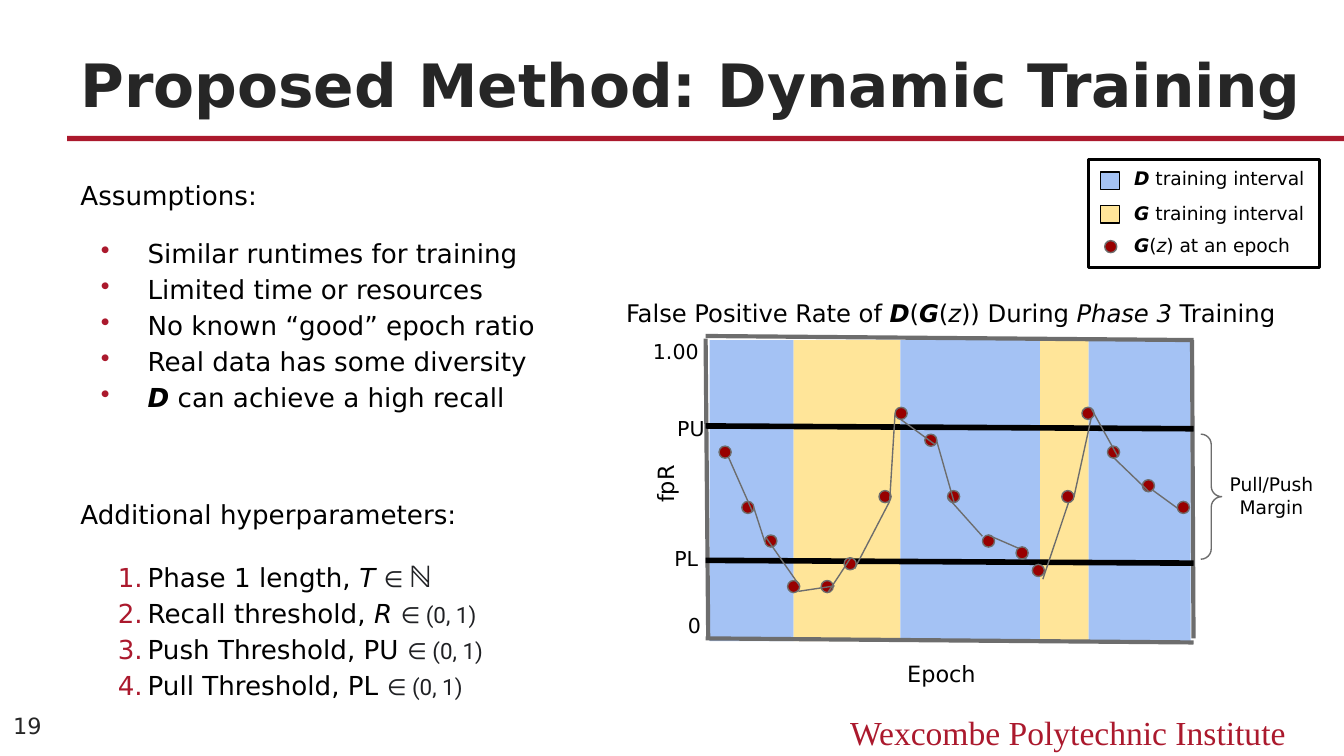
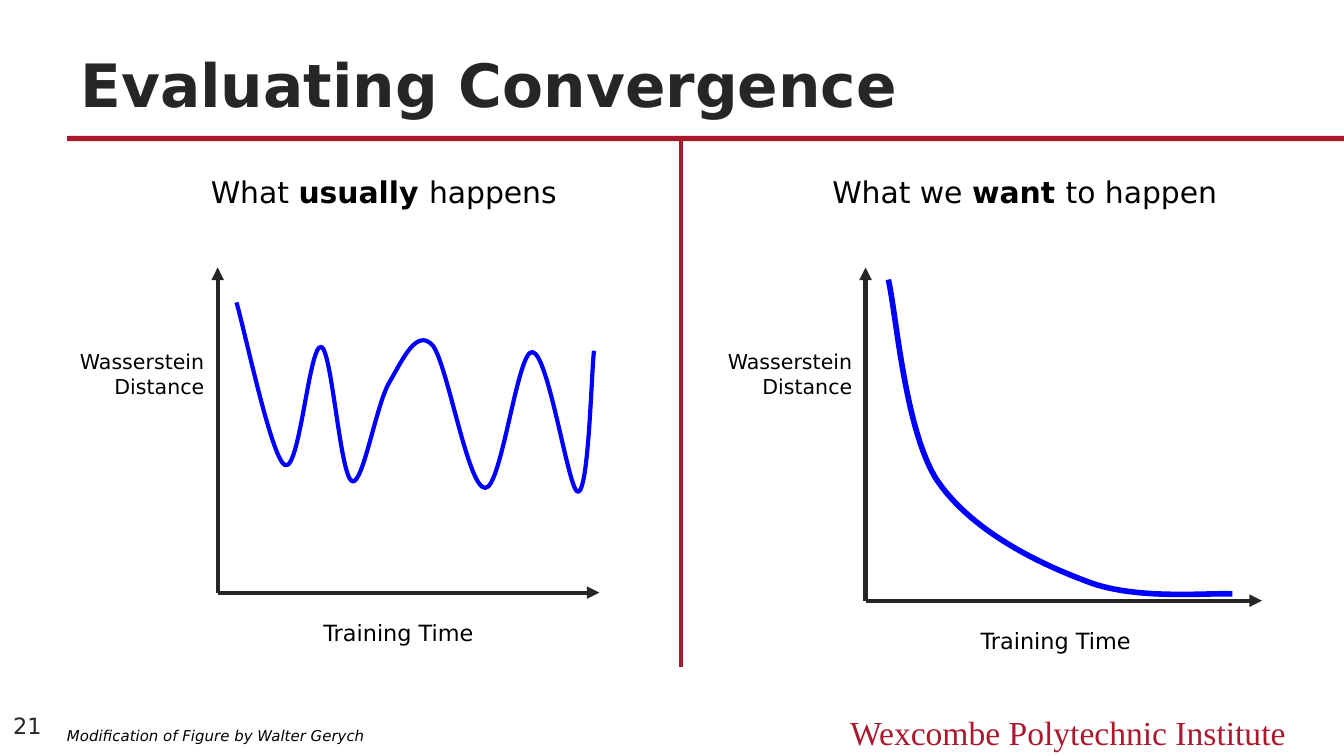
import dataclasses
import itertools

import lxml.etree
import pptx
import pptx.dml.color
import pptx.enum.shapes
import pptx.enum.text
import pptx.oxml.ns
import pptx.util

Pt = pptx.util.Pt
qn = pptx.oxml.ns.qn
SHAPES = pptx.enum.shapes.MSO_SHAPE
ALIGN = pptx.enum.text.PP_ALIGN
ANCHOR = pptx.enum.text.MSO_ANCHOR


@dataclasses.dataclass(frozen=True)
class Theme:
    crimson: str = "AB192D"
    ink: str = "262626"
    math_ink: str = "202124"
    black: str = "000000"
    gray: str = "6D6D6D"
    d_blue: str = "A4C2F4"
    g_yellow: str = "FFE599"
    dot_red: str = "980000"
    curve_blue: str = "0000FF"
    font: str = "DejaVu Sans"
    math_font: str = "Roboto"
    footer_font: str = "Times New Roman"
    title: float = 32
    footer: float = 18
    heading: float = 16
    body: float = 14
    caption: float = 13
    label: float = 12
    tick: float = 11
    legend: float = 10
    credit: float = 8


THEME = Theme()

# Run styles, named in the content below
STYLES = {
    "": {},
    "b": {"bold": True},
    "i": {"italic": True},
    "bi": {"bold": True, "italic": True},
    "math": {"name": THEME.math_font, "size": Pt(12), "color": THEME.math_ink},
    "set": {"name": THEME.math_font, "size": Pt(16), "bold": True,
            "color": THEME.math_ink},
}

# ---- Content: texts are lists of (words, style); lengths are points ----
FOOTER = "Wexcombe Polytechnic Institute"
UNIT_RANGE = ("∈ (0, 1)", "math")

# (kind, space before, runs)
BODY = [
    ("plain", 12, [("Assumptions:", "")]),
    ("bullet", 12, [("Similar runtimes for training", "")]),
    ("bullet", 0, [("Limited time or resources", "")]),
    ("bullet", 0, [("No known “good” epoch ratio", "")]),
    ("bullet", 0, [("Real data has some diversity", "")]),
    ("bullet", 0, [("D", "bi"), (" can achieve a high recall", "")]),
    ("plain", 43, [("Additional hyperparameters:", "")]),
    ("number", 12, [("Phase 1 length, ", ""), ("T ", "i"), ("∈ ", "math"),
                    ("ℕ", "set")]),
    ("number", 0, [("Recall threshold,", ""), (" R ", "i"), UNIT_RANGE]),
    ("number", 0, [("Push Threshold, PU ", ""), UNIT_RANGE]),
    ("number", 0, [("Pull Threshold, PL ", ""), UNIT_RANGE]),
]
# kind: (left indent, first-line indent, bullet tag, bullet attributes)
LISTS = {
    "bullet": (36, -25, "a:buChar", {"char": "•"}),
    "number": (36, -16, "a:buAutoNum", {"type": "arabicPeriod"}),
}

CHART_TITLE = [("False Positive Rate of ", ""), ("D", "bi"), ("(", ""), ("G", "bi"),
               ("(", ""), ("z", "i"), (")) During ", ""), ("Phase 3", "i"),
               (" Training", "")]
BAND_EDGES = [380.2, 425.2, 482.4, 557.3, 583.2, 637.9]
BAND_TOP, BAND_HEIGHT = 182.2, 161.3
THRESHOLDS = [(378, 228.2, 639.4, 229.7), (378, 300.2, 639.4, 301.7)]
SIDES = [(378, 181.4, 379.4, 341.3), (638.6, 182.2, 639.4, 342)]
TOP_AND_BOTTOM = [(378, 342, 639.4, 344.2), (378, 180, 639.4, 182.2)]
DOT_SIZE = 6.5
EPOCH_DOTS = [
    (385.2, 239), (397.4, 268.6), (409.7, 286.6), (421.9, 311), (439.9, 311),
    (452.2, 298.8), (470.9, 262.8), (479.5, 218.2), (495.4, 232.6),
    (507.6, 262.8), (526.3, 286.6), (544.3, 293), (553, 302.4), (568.8, 262.8),
    (579.6, 218.2), (593.3, 239), (612, 257), (630.7, 268.6),
]
TRACE = [
    (390.2, 244.8, 403.2, 274.3), (403.9, 272.2, 409.7, 290.2),
    (410.4, 288, 428.4, 313.9), (427.7, 316.8, 447.1, 313.9),
    (443.5, 317.5, 455.8, 298.8), (457.9, 304.6, 476.6, 268.6),
    (476.6, 268.6, 479.5, 221.8), (482.4, 224.6, 501.1, 238.3),
    (501.8, 236.2, 511.2, 269.3), (507.6, 266.4, 526.3, 287.3),
    (529.2, 286.6, 545.8, 293.8), (547.9, 299.5, 550.1, 298.8),
    (558.7, 310.3, 572.4, 269.3), (575.3, 266.4, 584.6, 223.9),
    (584.6, 218.9, 599, 244.8), (596.9, 245.5, 615.6, 263.5),
    (617.8, 262.8, 630.7, 272.2),
]
# (words, box, size, alignment, rotation)
CHART_LABELS = [
    ("fpR", (331.2, 236.9, 50.4, 28.8), THEME.label, ALIGN.LEFT, 270),
    ("Epoch", (464.4, 346.3, 79.9, 28.8), THEME.label, ALIGN.CENTER, 0),
    ("0", (361.4, 321.8, 25.2, 28), THEME.tick, ALIGN.LEFT, 0),
    ("1.00", (342.7, 175, 45.4, 28), THEME.tick, ALIGN.LEFT, 0),
    ("PU", (355.7, 216, 31.7, 28), THEME.tick, ALIGN.LEFT, 0),
    ("PL", (354.2, 285.8, 31.7, 28), THEME.tick, ALIGN.LEFT, 0),
    ("Pull/Push Margin", (648, 246.2, 66.2, 38.9), THEME.legend, ALIGN.CENTER, 0),
]
# (text top, key outline, key box, key fill, key line, runs)
LEGEND = [
    (83.5, SHAPES.RECTANGLE, (589.7, 92.2, 10, 9.4), THEME.d_blue, THEME.black,
     [("D", "bi"), (" training interval", "")]),
    (102.2, SHAPES.RECTANGLE, (589.7, 110.2, 10, 9.4), THEME.g_yellow, THEME.black,
     [("G", "bi"), (" training interval", "")]),
    (119.5, SHAPES.OVAL, (591.8, 128.9, DOT_SIZE, DOT_SIZE), THEME.dot_red, THEME.gray,
     [("G", "bi"), ("(", ""), ("z", "i"), (") at an epoch", "")]),
]

# Each curve is a start point followed by cubic segments of three points
PANELS = [
    {"heading": [("What ", ""), ("usually ", "b"), ("happens", "")],
     "heading_box": (89.3, 85.7, 232.6, 33.8),
     "origin": (116.6, 317.5), "axis_end": 321.1, "y_label_width": 90,
     "x_label": (157.7, 111.6), "weight": 2.25,
     "curve": [
         (126.7, 162), (131, 176.4), (145.4, 245.5), (152.6, 249.1),
         (160.6, 253.4), (165.6, 184.3), (172.1, 185.8),
         (177.8, 187.2), (182.2, 254.9), (188.6, 257.8),
         (194.4, 260.6), (201.6, 216), (208.8, 204.5),
         (216, 192.2), (223.2, 175.7), (231.8, 185),
         (239.8, 195.1), (250.6, 261.4), (259.9, 261.4),
         (268.6, 262.1), (277.2, 187.9), (285.1, 188.6),
         (293.8, 188.6), (304.6, 263.5), (309.6, 263.5),
         (315.4, 263.5), (316.8, 200.9), (318.2, 187.9)]},
    {"heading": [("What we ", ""), ("want ", "b"), ("to happen", "")],
     "heading_box": (390.2, 85.7, 317.5, 33.8),
     "origin": (463.7, 321.8), "axis_end": 676.1, "y_label_width": 100.1,
     "x_label": (506.9, 117.4), "weight": 3,
     "curve": [
         (475.9, 149.8), (480.2, 167.8), (484.6, 229.7), (501.8, 257),
         (519.8, 283.7), (554.4, 301), (581, 311),
         (607, 321.8), (646.6, 317.5), (660.2, 318.2)]},
]
AXIS_TOP, Y_LABEL_TOP = 143.3, 180


def rgb(color):
    return pptx.dml.color.RGBColor.from_string(color)


def set_values(target, values):
    for name, value in values.items():
        setattr(target, name, value)


def add_runs(paragraph, runs, size, color=THEME.black, font=THEME.font):
    for words, style in runs:
        run = paragraph.add_run()
        run.text = words
        values = {"name": font, "size": Pt(size), "color": color,
                  "bold": False, "italic": False} | STYLES[style]
        run.font.color.rgb = rgb(values.pop("color"))
        set_values(run.font, values)


def add_text(slide, box, runs, size, align=ALIGN.LEFT, anchor=ANCHOR.TOP,
             inset=7.2, rotation=0, **look):
    shape = slide.shapes.add_textbox(*map(Pt, box))
    shape.rotation = rotation
    set_values(shape.text_frame, {
        "word_wrap": True, "vertical_anchor": anchor,
        "margin_left": Pt(7.2), "margin_right": Pt(7.2),
        "margin_top": Pt(inset), "margin_bottom": Pt(inset)})
    paragraph = shape.text_frame.paragraphs[0]
    paragraph.alignment = align
    add_runs(paragraph, runs, size, **look)
    return shape


def set_line(shape, color, weight):
    shape.line.color.rgb = rgb(color)
    shape.line.width = Pt(weight)


def add_shape(slide, outline, box, fill=None, line=None, weight=0.75):
    shape = slide.shapes.add_shape(outline, *map(Pt, box))
    shape.shadow.inherit = False
    if fill:
        shape.fill.solid()
        shape.fill.fore_color.rgb = rgb(fill)
    else:
        shape.fill.background()
    if line:
        set_line(shape, line, weight)
    else:
        shape.line.fill.background()
    return shape


def add_line(slide, ends, color, weight, arrow=False):
    connector = slide.shapes.add_connector(
        pptx.enum.shapes.MSO_CONNECTOR.STRAIGHT, *map(Pt, ends))
    set_line(connector, color, weight)
    properties = connector.element.spPr
    if arrow:
        lxml.etree.SubElement(properties.find(qn("a:ln")), qn("a:tailEnd"), type="triangle")
    lxml.etree.SubElement(properties, qn("a:effectLst"))


def add_curve(slide, points, color, weight):
    """Draw the points as a freeform, then turn each three line steps into one cubic."""
    start, *rest = [(Pt(x), Pt(y)) for x, y in points]
    builder = slide.shapes.build_freeform(*start, scale=1.0)
    builder.add_line_segments(rest, close=False)
    shape = builder.convert_to_shape()
    shape.shadow.inherit = False
    shape.fill.background()
    set_line(shape, color, weight)
    outline = shape.element.find(".//" + qn("a:path"))
    steps = outline.findall(qn("a:lnTo"))
    for first in range(0, len(steps), 3):
        cubic = lxml.etree.SubElement(outline, qn("a:cubicBezTo"))
        for step in steps[first:first + 3]:
            cubic.append(step[0])
            outline.remove(step)


def add_bullet(paragraph, kind):
    left, first_line, tag, attributes = LISTS[kind]
    properties = paragraph._p.get_or_add_pPr()
    properties.set("marL", str(Pt(left)))
    properties.set("indent", str(Pt(first_line)))
    color = lxml.etree.SubElement(properties, qn("a:buClr"))
    lxml.etree.SubElement(color, qn("a:srgbClr"), val=THEME.crimson)
    lxml.etree.SubElement(properties, qn(tag), attributes)


def add_slide(presentation, title, title_width, number):
    slide = presentation.slides.add_slide(presentation.slide_layouts[6])
    add_shape(slide, SHAPES.RECTANGLE, (36, 72.8, 684, 2.8), THEME.crimson)
    add_text(slide, (432, 378, 264, 21.6), [(FOOTER, "")], THEME.footer, ALIGN.RIGHT,
             inset=3.6, color=THEME.crimson, font=THEME.footer_font)
    add_text(slide, (36, 20.2, title_width, 47.5), [(title, "b")], THEME.title,
             anchor=ANCHOR.BOTTOM, inset=3.6, color=THEME.ink)
    add_text(slide, (0, 377.3, 36, 23), [(number, "")], THEME.label,
             anchor=ANCHOR.MIDDLE, inset=3.6, color=THEME.ink)
    return slide


def add_body(slide):
    frame = add_text(slide, (36, 90, 286.6, 234), [], THEME.body, inset=3.6).text_frame
    for index, (kind, space, runs) in enumerate(BODY):
        paragraph = frame.add_paragraph() if index else frame.paragraphs[0]
        set_values(paragraph, {"line_spacing": 1.15, "space_before": Pt(space)})
        if kind in LISTS:
            add_bullet(paragraph, kind)
        add_runs(paragraph, runs, THEME.body)


def add_training_chart(slide):
    fills = itertools.cycle([THEME.d_blue, THEME.g_yellow])
    for (left, right), fill in zip(itertools.pairwise(BAND_EDGES), fills):
        add_shape(slide, SHAPES.RECTANGLE,
                  (left, BAND_TOP, right - left, BAND_HEIGHT), fill)
    brace = add_shape(slide, SHAPES.RIGHT_BRACE, (643.3, 232.6, 11.2, 67), line=THEME.gray)
    brace.adjustments[0] = 0.5
    for ends in SIDES:
        add_line(slide, ends, THEME.gray, 2.25)
    for ends in THRESHOLDS:
        add_line(slide, ends, THEME.black, 3)
    for left, top in EPOCH_DOTS:
        add_shape(slide, SHAPES.OVAL, (left, top, DOT_SIZE, DOT_SIZE),
                  THEME.dot_red, THEME.gray)
    for ends in TRACE:
        add_line(slide, ends, THEME.gray, 0.75)
    for words, box, size, align, rotation in CHART_LABELS:
        add_text(slide, box, [(words, "")], size, align, rotation=rotation)
    add_text(slide, (328.3, 152.6, 377.3, 30.2), CHART_TITLE, THEME.caption)
    for ends in TOP_AND_BOTTOM:
        add_line(slide, ends, THEME.gray, 2.25)


def add_legend(slide):
    add_shape(slide, SHAPES.RECTANGLE, (583.2, 85.7, 123.8, 57.6),
              line=THEME.black, weight=1.5)
    for top, outline, key_box, fill, line, runs in LEGEND:
        add_shape(slide, outline, key_box, fill, line)
        add_text(slide, (600.5, top, 106.6, 26.6), runs, THEME.legend)


def add_panel(slide, panel):
    x, y = panel["origin"]
    width = panel["y_label_width"]
    label_left, label_width = panel["x_label"]
    add_text(slide, panel["heading_box"], panel["heading"], THEME.heading, ALIGN.CENTER)
    for end in [(x, AXIS_TOP), (panel["axis_end"], y)]:
        add_line(slide, (x, y, *end), THEME.ink, 2.25, arrow=True)
    add_text(slide, (x - width, Y_LABEL_TOP, width, 41),
             [("Wasserstein Distance", "")], THEME.tick, ALIGN.RIGHT)
    add_text(slide, (label_left, y + 7.2, label_width, 28.8),
             [("Training Time", "")], THEME.label, ALIGN.CENTER)
    add_curve(slide, panel["curve"], THEME.curve_blue, panel["weight"])


def main():
    presentation = pptx.Presentation()
    set_values(presentation, {"slide_width": Pt(720), "slide_height": Pt(405)})

    method = add_slide(presentation, "Proposed Method: Dynamic Training", 672.5, "19")
    add_body(method)
    add_training_chart(method)
    add_legend(method)

    convergence = add_slide(presentation, "Evaluating Convergence", 648, "21")
    add_line(convergence, (365, 74.9, 365, 357.1), THEME.crimson, 2.25)
    for panel in PANELS:
        add_panel(convergence, panel)
    add_text(convergence, (28.8, 384.5, 227.5, 24.5),
             [("Modification of Figure by Walter Gerych", "i")], THEME.credit)

    presentation.save("out.pptx")


if __name__ == "__main__":
    main()
